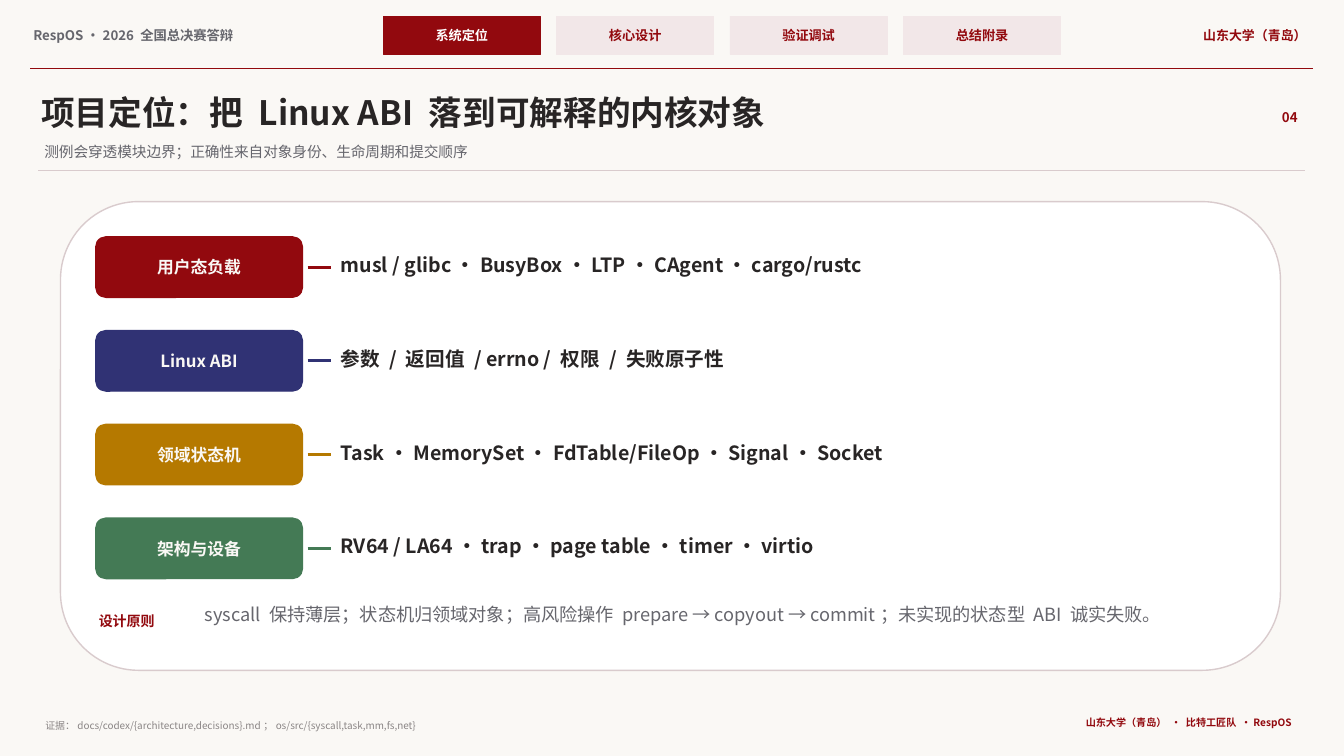
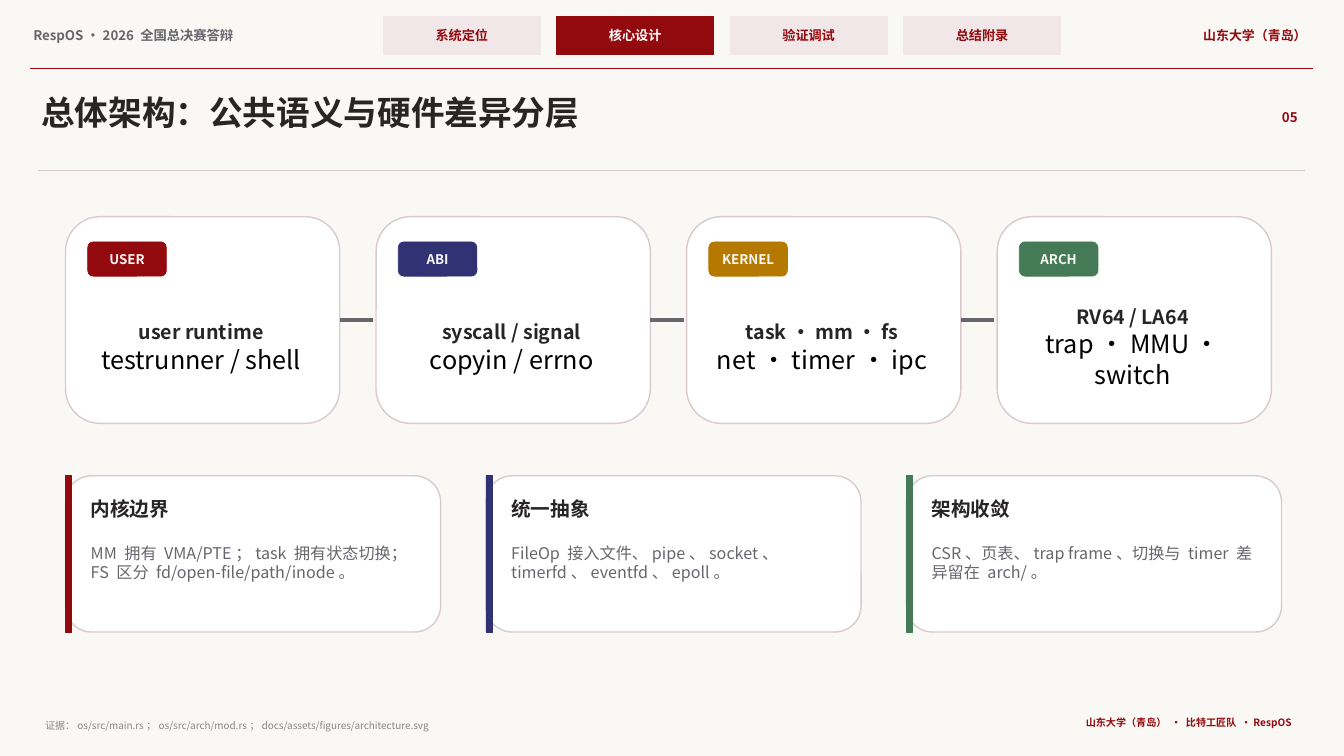
from lxml.etree import SubElement
from pptx import Presentation
from pptx.dml.color import RGBColor
from pptx.enum.shapes import MSO_CONNECTOR, MSO_SHAPE
from pptx.enum.text import MSO_ANCHOR, MSO_AUTO_SIZE, PP_ALIGN
from pptx.oxml.ns import qn
from pptx.util import Pt

PX = 9144  # 100 px to the inch
FONT = "Noto Sans CJK SC"
COLORS = {
    "paper": "FAF8F5", "white": "FFFFFF", "black": "000000", "ink": "282525",
    "gray": "66666D", "source": "8A8585", "rule": "D9CBCD", "tab": "F2E7E8",
    "red": "92090E", "blue": "303274", "gold": "B57900", "green": "447A55",
}
SECTIONS = ["系统定位", "核心设计", "验证调试", "总结附录"]
LEFT, CENTER, RIGHT = PP_ALIGN.LEFT, PP_ALIGN.CENTER, PP_ALIGN.RIGHT
ROUNDED = MSO_SHAPE.ROUNDED_RECTANGLE


def rgb(name):
    return RGBColor.from_string(COLORS[name])


def emu(*lengths):
    return [length * PX for length in lengths]


# Element builders
def add_run(paragraph, text, size, color, bold):
    run = paragraph.add_run()
    run.text = text
    font = run.font
    font.size, font.bold, font.name = Pt(size), bold, FONT
    font.color.rgb = rgb(color)
    SubElement(font._element, qn("a:ea"), typeface=FONT)


def write(shape, text, *, size, color="ink", bold=False, align=LEFT,
          anchor=MSO_ANCHOR.TOP, grow=True, detail=None):
    """Fill a shape with one paragraph; detail is a larger second line."""
    frame = shape.text_frame
    frame.word_wrap = True
    frame.auto_size = MSO_AUTO_SIZE.SHAPE_TO_FIT_TEXT if grow else MSO_AUTO_SIZE.NONE
    frame.vertical_anchor = anchor
    frame.margin_left = frame.margin_right = 3 * PX
    frame.margin_top = frame.margin_bottom = 3 * PX
    paragraph = frame.paragraphs[0]
    paragraph.alignment = align
    add_run(paragraph, text, size, color, bold)
    if detail:
        paragraph.add_line_break()
        add_run(paragraph, detail, 18, "black", False)


def add_text(slide, box, text, **style):
    write(slide.shapes.add_textbox(*emu(*box)), text, **style)


def add_box(slide, box, fill, line=None, width=1, kind=ROUNDED):
    shape = slide.shapes.add_shape(kind, *emu(*box))
    shape.shadow.inherit = False
    shape.fill.solid()
    shape.fill.fore_color.rgb = rgb(fill)
    shape.line.color.rgb = rgb(line or fill)
    shape.line.width = Pt(width)
    return shape


def add_label(slide, box, text, fill, *, size, color="paper", **look):
    label = add_box(slide, box, fill, **look)
    write(label, text, size=size, color=color, bold=True, align=CENTER,
          anchor=MSO_ANCHOR.MIDDLE, grow=False)


def add_panel(slide, box):
    return add_box(slide, box, "white", "rule")


def add_rule(slide, left, right, y, color, width, start=None):
    rule = slide.shapes.add_connector(MSO_CONNECTOR.STRAIGHT, *emu(left, y, right, y))
    if start is not None:
        rule.begin_connect(start, 3)
        rule.end_y = rule.begin_y
    rule.line.color.rgb = rgb(color)
    rule.line.width = Pt(width)
    SubElement(rule._element.spPr, qn("a:effectLst"))


# Shared frame of every slide
def add_framed_slide(deck, section, number, title, evidence, subtitle=None):
    slide = deck.slides.add_slide(deck.slide_layouts[5])

    # Top band
    add_text(slide, (30, 24, 335, 24), "RespOS · 2026 全国总决赛答辩",
             size=9.5, color="gray", bold=True)
    for i, name in enumerate(SECTIONS):
        active = name == section
        add_label(slide, (380 + 172 * i, 16, 156, 38), name, "red" if active else "tab",
                  size=9.4, color="white" if active else "red",
                  width=0.5, kind=MSO_SHAPE.RECTANGLE)
    add_text(slide, (1135, 24, 164, 24), "山东大学（青岛）",
             size=9.2, color="red", bold=True, align=RIGHT)
    add_rule(slide, 30, 1302, 68, "red", 1.1)

    # Title block
    heading = slide.shapes.title
    heading.left, heading.top, heading.width, heading.height = emu(38, 88, 1185, 48)
    write(heading, title, size=24, bold=True)
    if subtitle:
        add_text(slide, (41, 139, 1155, 25), subtitle, size=10.5, color="gray")
    add_text(slide, (1248, 105, 42, 24), number,
             size=9.5, color="red", bold=True, align=RIGHT)
    add_rule(slide, 38, 1294, 169, "rule", 0.9)

    # Footer
    add_text(slide, (42, 711, 970, 17), "证据：" + evidence, size=7.1, color="source")
    add_text(slide, (972, 708, 312, 20), "山东大学（青岛） · 比特工匠队 · RespOS",
             size=7.2, color="red", bold=True, align=RIGHT)
    return slide


# Content parts
def add_layer_row(slide, top, name, content, color):
    add_label(slide, (95, top, 205, 60), name, color, size=12)
    add_text(slide, (335, top + 13, 840, 33), content, size=14, bold=True)
    add_rule(slide, 305, 328, top + 30, color, 2.2)


def add_stage(slide, left, tag, headline, detail, color):
    stage = add_panel(slide, (left, 215, 272, 205))
    add_label(slide, (left + 22, 240, 78, 34), tag, color, size=9.5, width=0.5)
    add_text(slide, (left + 22, 302, 225, 85), headline, size=14, bold=True,
             align=CENTER, anchor=MSO_ANCHOR.MIDDLE, detail=detail)
    return stage


def add_note(slide, left, heading, body, color):
    add_panel(slide, (left, 472, 372, 155))
    add_box(slide, (left, 472, 6, 155), color, width=0.5, kind=MSO_SHAPE.RECTANGLE)
    add_text(slide, (left + 22, 490, 334, 34), heading, size=14, bold=True)
    add_text(slide, (left + 22, 536, 332, 77), body, size=11.5, color="gray")


def build_positioning(deck):
    slide = add_framed_slide(
        deck, "系统定位", "04", "项目定位：把 Linux ABI 落到可解释的内核对象",
        "docs/codex/{architecture,decisions}.md；os/src/{syscall,task,mm,fs,net}",
        subtitle="测例会穿透模块边界；正确性来自对象身份、生命周期和提交顺序")
    layers = [
        ("用户态负载", "musl / glibc · BusyBox · LTP · CAgent · cargo/rustc", "red"),
        ("Linux ABI", "参数 / 返回值 / errno / 权限 / 失败原子性", "blue"),
        ("领域状态机", "Task · MemorySet · FdTable/FileOp · Signal · Socket", "gold"),
        ("架构与设备", "RV64 / LA64 · trap · page table · timer · virtio", "green"),
    ]
    add_panel(slide, (60, 200, 1210, 465))
    for i, layer in enumerate(layers):
        add_layer_row(slide, 235 + 93 * i, *layer)
    add_text(slide, (95, 605, 110, 25), "设计原则", size=10, color="red", bold=True)
    add_text(slide, (200, 596, 980, 45),
             "syscall 保持薄层；状态机归领域对象；高风险操作 prepare → copyout → commit；"
             "未实现的状态型 ABI 诚实失败。", size=13, color="gray")


def build_architecture(deck):
    slide = add_framed_slide(
        deck, "核心设计", "05", "总体架构：公共语义与硬件差异分层",
        "os/src/main.rs；os/src/arch/mod.rs；docs/assets/figures/architecture.svg")
    stages = [
        ("USER", "user runtime", "testrunner / shell", "red"),
        ("ABI", "syscall / signal", "copyin / errno", "blue"),
        ("KERNEL", "task · mm · fs", "net · timer · ipc", "gold"),
        ("ARCH", "RV64 / LA64", "trap · MMU · switch", "green"),
    ]
    for i, content in enumerate(stages):
        left = 65 + 308 * i
        stage = add_stage(slide, left, *content)
        if i < len(stages) - 1:
            add_rule(slide, left + 272, left + 305, 318, "gray", 2.2, start=stage)

    notes = [
        ("内核边界", "MM 拥有 VMA/PTE；task 拥有状态切换；FS 区分 fd/open-file/path/inode。", "red"),
        ("统一抽象", "FileOp 接入文件、pipe、socket、timerfd、eventfd、epoll。", "blue"),
        ("架构收敛", "CSR、页表、trap frame、切换与 timer 差异留在 arch/。", "green"),
    ]
    for i, note in enumerate(notes):
        add_note(slide, 65 + 417 * i, *note)


def main():
    deck = Presentation()
    deck.slide_width, deck.slide_height = emu(1333, 750)
    background = deck.slide_master.background.fill
    background.solid()
    background.fore_color.rgb = rgb("paper")
    build_positioning(deck)
    build_architecture(deck)
    deck.save("out.pptx")


if __name__ == "__main__":
    main()
